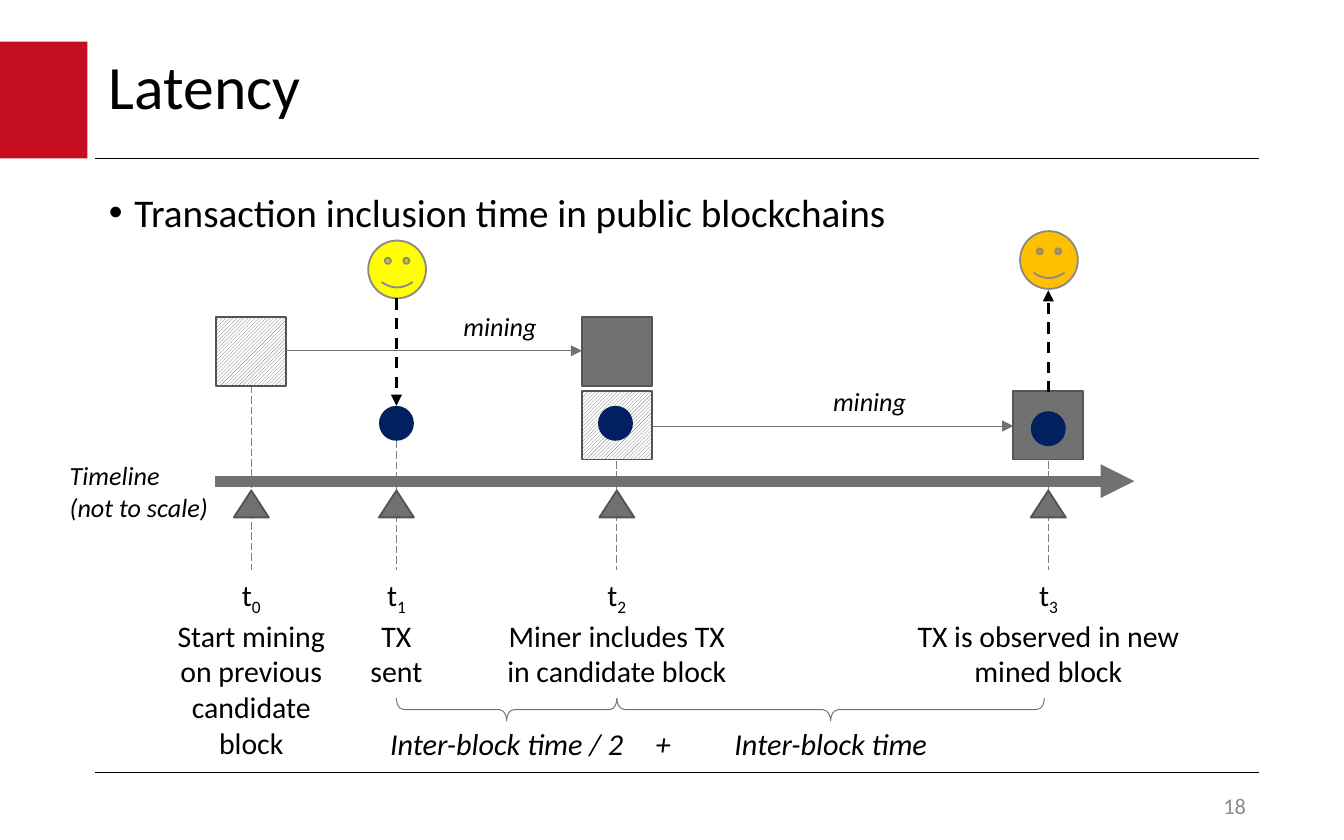
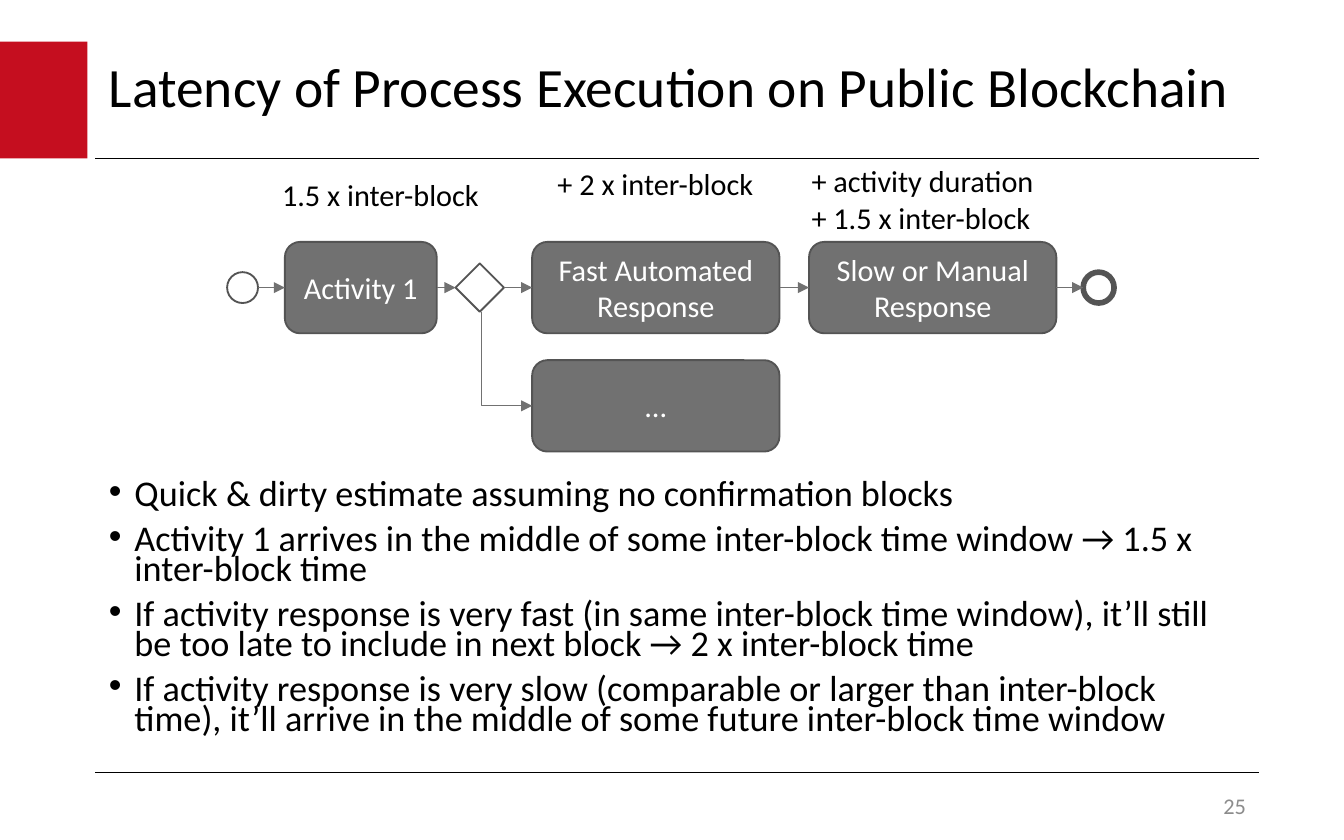
import itertools
from dataclasses import dataclass
from typing import Any

import pptx
import pptx.dml.color
import pptx.enum.dml
import pptx.enum.shapes
import pptx.enum.text
import pptx.oxml
import pptx.oxml.ns
import pptx.util
from lxml import etree

Inches = pptx.util.Inches
Pt = pptx.util.Pt
SHAPE = pptx.enum.shapes.MSO_SHAPE
CONNECTOR = pptx.enum.shapes.MSO_CONNECTOR
DASH = pptx.enum.dml.MSO_LINE
ALIGN = pptx.enum.text.PP_ALIGN
ANCHOR = pptx.enum.text.MSO_ANCHOR
AUTO_SIZE = pptx.enum.text.MSO_AUTO_SIZE
qn = pptx.oxml.ns.qn

FONT = "Calibri"
COLORS = {
    "red": "C50E1F",
    "black": "000000",
    "white": "FFFFFF",
    "gray": "717171",
    "outline": "545454",
    "guide": "808080",
    "face line": "8A8A8A",
    "number": "8C8C8C",
    "navy": "002060",
    "yellow": "FFFF00",
    "orange": "FFC000",
}
HATCH = "hatch"
LABEL_SIZE = 16.2


def color(name):
    return pptx.dml.color.RGBColor.from_string(COLORS[name])


def format_paragraph(paragraph, size, color_name="black", italic=None, align=ALIGN.LEFT):
    paragraph.alignment = align
    paragraph.font.name = FONT
    paragraph.font.size = Pt(size)
    paragraph.font.color.rgb = color(color_name)
    paragraph.font.italic = italic


@dataclass
class Region:
    """A part of a slide; its drawing methods measure from its top left corner, in inches."""

    slide: Any
    left: float = 0
    top: float = 0

    def place(self, x, y):
        return Inches(self.left + x), Inches(self.top + y)

    def shape(self, kind, x, y, width, height, fill=None, line=None, line_width=1):
        shape = self.slide.shapes.add_shape(kind, *self.place(x, y), Inches(width), Inches(height))
        shape.shadow.inherit = False
        if fill is None:
            shape.fill.background()
        elif fill == HATCH:
            shape.fill.patterned()
            shape.fill.pattern = pptx.enum.dml.MSO_PATTERN.LIGHT_UPWARD_DIAGONAL
            shape.fill.fore_color.rgb = color("gray")
            shape.fill.back_color.rgb = color("white")
        else:
            shape.fill.solid()
            shape.fill.fore_color.rgb = color(fill)
        if line is None:
            shape.line.fill.background()
        else:
            shape.line.color.rgb = color(line)
            shape.line.width = Pt(line_width)
        return shape

    def line(self, start, end, line_color="gray", width=0.5, dash=None, arrow=False,
             kind=CONNECTOR.STRAIGHT):
        connector = self.slide.shapes.add_connector(kind, *self.place(*start), *self.place(*end))
        connector.line.color.rgb = color(line_color)
        connector.line.width = Pt(width)
        if dash is not None:
            connector.line.dash_style = dash
        properties = connector.element.spPr
        if arrow:
            etree.SubElement(properties.find(qn("a:ln")), qn("a:tailEnd"), type="triangle")
        etree.SubElement(properties, qn("a:effectLst"))
        return connector

    def text(self, lines, x, y, width, height, size=LABEL_SIZE, wrap=True, **style):
        box = self.slide.shapes.add_textbox(*self.place(x, y), Inches(width), Inches(height))
        frame = box.text_frame
        frame.word_wrap = wrap
        frame.auto_size = AUTO_SIZE.SHAPE_TO_FIT_TEXT
        frame.text = "\n".join(lines)
        for paragraph in frame.paragraphs:
            format_paragraph(paragraph, size, **style)
        return box


def add_layout_decoration(slide):
    """Draw the red band and both rules, then move them to the layout of the slide."""
    layout = slide.slide_layout
    for placeholder in list(layout.placeholders):
        if placeholder.placeholder_format.idx >= 10:
            placeholder.element.getparent().remove(placeholder.element)
    region = Region(slide)
    decoration = [region.shape(SHAPE.RECTANGLE, 0, 0.31, 0.65, 0.87, "red")]
    for y in (1.18, 5.75):
        decoration.append(region.line((0.71, y), (9.37, y), "black", 0.75))
    for index, shape in enumerate(decoration):
        shape.element.xpath(".//p:cNvPr")[0].set("id", str(20 + index))
        layout.shapes.element.insert(2 + index, shape.element)


def move(shape, left, top, width, height):
    shape.left, shape.top = Inches(left), Inches(top)
    shape.width, shape.height = Inches(width), Inches(height)


def fill_title(slide, text, size):
    title = slide.shapes.title
    move(title, 0.71, 0.31, 8.66, 0.71)
    title.text_frame.text = text
    title.text_frame.vertical_anchor = ANCHOR.MIDDLE
    title.text_frame.auto_size = AUTO_SIZE.NONE
    paragraph = title.text_frame.paragraphs[0]
    paragraph.line_spacing = 0.9
    format_paragraph(paragraph, size)


def fill_body(slide, items, top, height, size, line_spacing):
    body = slide.placeholders[1]
    move(body, 0.71, top, 8.65, height)
    frame = body.text_frame
    frame.text = "\n".join(items)
    frame.auto_size = AUTO_SIZE.NONE
    for index, paragraph in enumerate(frame.paragraphs):
        properties = paragraph._p.get_or_add_pPr()
        properties.set("marL", str(Inches(0.19)))
        properties.set("indent", str(Inches(-0.19)))
        paragraph.line_spacing = line_spacing
        paragraph.space_before = Pt(7.5 if index else 0)
        format_paragraph(paragraph, size)


def add_slide_number(slide, number):
    box = Region(slide).text([str(number)], 7.34, 5.87, 2.03, 0.25, 12,
                             color_name="number", align=ALIGN.RIGHT)
    box.text_frame.auto_size = AUTO_SIZE.NONE
    box.text_frame.vertical_anchor = ANCHOR.MIDDLE


def draw_timeline(slide, left, top):
    region = Region(slide, left, top)
    block, dot, axis, label_top = 0.52, 0.26, 1.88, 2.54
    upper, lower = 0.66, 1.21
    # centre, top of the guide, width of the label, wording
    moments = [
        (1.47, 1.17, 1.4, "Start mining on previous candidate block"),
        (2.55, 1.58, 0.8, "TX sent"),
        (4.19, 1.73, 1.87, "Miner includes TX in candidate block"),
        (7.4, 1.73, 2.19, "TX is observed in new mined block"),
    ]
    started, sent, included, observed = (moment[0] for moment in moments)

    for center, guide_top, _, _ in moments:
        region.line((center, guide_top), (center, label_top), "guide", dash=DASH.LONG_DASH)
    region.line((1.2, axis), (8.04, axis), width=6, arrow=True)
    for index, (center, _, width, wording) in enumerate(moments):
        region.shape(SHAPE.ISOSCELES_TRIANGLE, center - dot / 2, 1.95, dot, 0.2, "gray", "outline")
        label = region.text(["t", wording], center - width / 2, label_top, width, 0.91, 16,
                            align=ALIGN.CENTER)
        subscript = label.text_frame.paragraphs[0].add_run()
        subscript.text = str(index)
        subscript._r.get_or_add_rPr().set("baseline", "-25000")

    for center, y, fill in ((started, upper, HATCH), (included, upper, "gray"),
                            (included, lower, HATCH), (observed, lower, "gray")):
        region.shape(SHAPE.RECTANGLE, center - block / 2, y, block, 0.51, fill, "outline")
    for center, y in ((sent, 1.32), (included - 0.01, 1.32), (observed, 1.36)):
        region.shape(SHAPE.OVAL, center - dot / 2, y, dot, dot, "navy")
    for center, y, fill in ((sent, 0.09, "yellow"), (observed, 0.02, "orange")):
        region.shape(SHAPE.SMILEY_FACE, center - 0.21, y, 0.43, 0.43, fill, "face line")
    for center, start, end in ((sent, 0.52, 1.32), (observed, 1.22, 0.46)):
        region.line((center, start), (center, end), "black", 1.5, DASH.DASH, arrow=True)

    for start, end, y, label_left in ((started, included, 0.91, 2.95),
                                      (included, observed, 1.47, 5.7)):
        region.line((start + block / 2, y), (end - block / 2, y), arrow=True)
        region.text(["mining"], label_left, y - 0.35, 0.75, 0.34, 14, wrap=False, italic=True)

    for start, end, curve, width, wording in (
            (sent, included, 0.31, 2.16, "Inter-block time / 2"),
            (included, observed - 0.03, 0.34, 1.71, "Inter-block time")):
        center, span, depth = (start + end) / 2, end - start, 0.17
        brace = region.shape(SHAPE.LEFT_BRACE, center - depth / 2, 3.58 - span / 2, depth, span,
                             line="gray", line_width=0.5)
        brace.rotation = 270
        brace.adjustments[0] = curve
        region.text([wording], center - width / 2, 3.65, width, 0.37,
                    italic=True, align=ALIGN.CENTER)
    region.text(["+"], 4.36, 3.65, 0.35, 0.37, italic=True, align=ALIGN.CENTER)
    region.text(["Timeline", "(not to scale)"], 0.02, 1.67, 1.24, 0.57, 14, italic=True)


def draw_process(slide, left, top):
    region = Region(slide, left, top)
    middle, branch_middle = 0.98, 1.86

    def draw_activity(x, center, width, wording):
        activity = region.shape(SHAPE.ROUNDED_RECTANGLE, x, center - 0.34, width, 0.68,
                                "gray", "outline")
        frame = activity.text_frame
        frame.text = wording
        frame.vertical_anchor = ANCHOR.MIDDLE
        format_paragraph(frame.paragraphs[0], LABEL_SIZE, "white", align=ALIGN.CENTER)

    def draw_symbol(kind, x, size, line_width):
        region.shape(kind, x, middle - size / 2, size, size, "white", "outline", line_width)

    activities = [(0.43, 1.13, "Activity 1"), (2.27, 1.84, "Fast Automated Response"),
                  (4.33, 1.84, "Slow or Manual Response")]
    symbols = [(0, 0.23, SHAPE.OVAL, 1), (1.7, 0.36, SHAPE.DIAMOND, 1), (6.37, 0.23, SHAPE.OVAL, 3)]
    for x, width, wording in activities:
        draw_activity(x, middle, width, wording)
    draw_activity(2.27, branch_middle, 1.84, "…")
    for x, size, kind, line_width in symbols:
        draw_symbol(kind, x, size, line_width)

    steps = sorted(node[:2] for node in activities + symbols)
    for (x, width), (next_x, _) in itertools.pairwise(steps):
        region.line((x + width, middle), (next_x, middle), arrow=True)

    # Down from the gateway, then right: a two-part elbow, turned and mirrored
    elbow = region.line((1.73, 1.32), (2.43, 1.7), arrow=True, kind=CONNECTOR.ELBOW)
    elbow.element.spPr.find(qn("a:prstGeom")).set("prst", "bentConnector2")
    transform = elbow.element.spPr.find(qn("a:xfrm"))
    transform.set("rot", "16200000")
    transform.set("flipH", "1")

    for lines, x, y, width, height in (
            (["1.5 x inter-block"], 0.31, 0.1, 1.68, 0.37),
            (["+ 2 x inter-block"], 2.36, 0.02, 1.67, 0.37),
            (["+ activity duration", "+ 1.5 x inter-block"], 4.25, 0, 1.87, 0.65)):
        region.text(lines, x, y, width, height, wrap=False)


def build_latency_slide(slide):
    fill_title(slide, "Latency", 33)
    fill_body(slide, ["Transaction inclusion time in public blockchains"], 1.39, 4.04, 21, 0.9)
    draw_timeline(slide, 0.4, 1.7)
    add_slide_number(slide, 18)


def build_process_slide(slide):
    fill_title(slide, "Latency of Process Execution on Public Blockchain", 29.7)
    fill_body(slide, [
        "Quick & dirty estimate assuming no confirmation blocks",
        "Activity 1 arrives in the middle of some inter-block time window → 1.5 x inter-block time",
        "If activity response is very fast (in same inter-block time window), it’ll still be too "
        "late to include in next block → 2 x inter-block time",
        "If activity response is very slow (comparable or larger than inter-block time), it’ll "
        "arrive in the middle of some future inter-block time window",
    ], 3.54, 2.11, 19.4, 0.7)
    draw_process(slide, 1.69, 1.16)
    add_slide_number(slide, 25)


def main():
    presentation = pptx.Presentation()
    presentation.slide_width, presentation.slide_height = Inches(10), Inches(6.25)
    layout = presentation.slide_layouts[1]
    latency, process = (presentation.slides.add_slide(layout) for _ in range(2))
    add_layout_decoration(latency)
    build_latency_slide(latency)
    build_process_slide(process)
    presentation.save("out.pptx")


if __name__ == "__main__":
    main()
